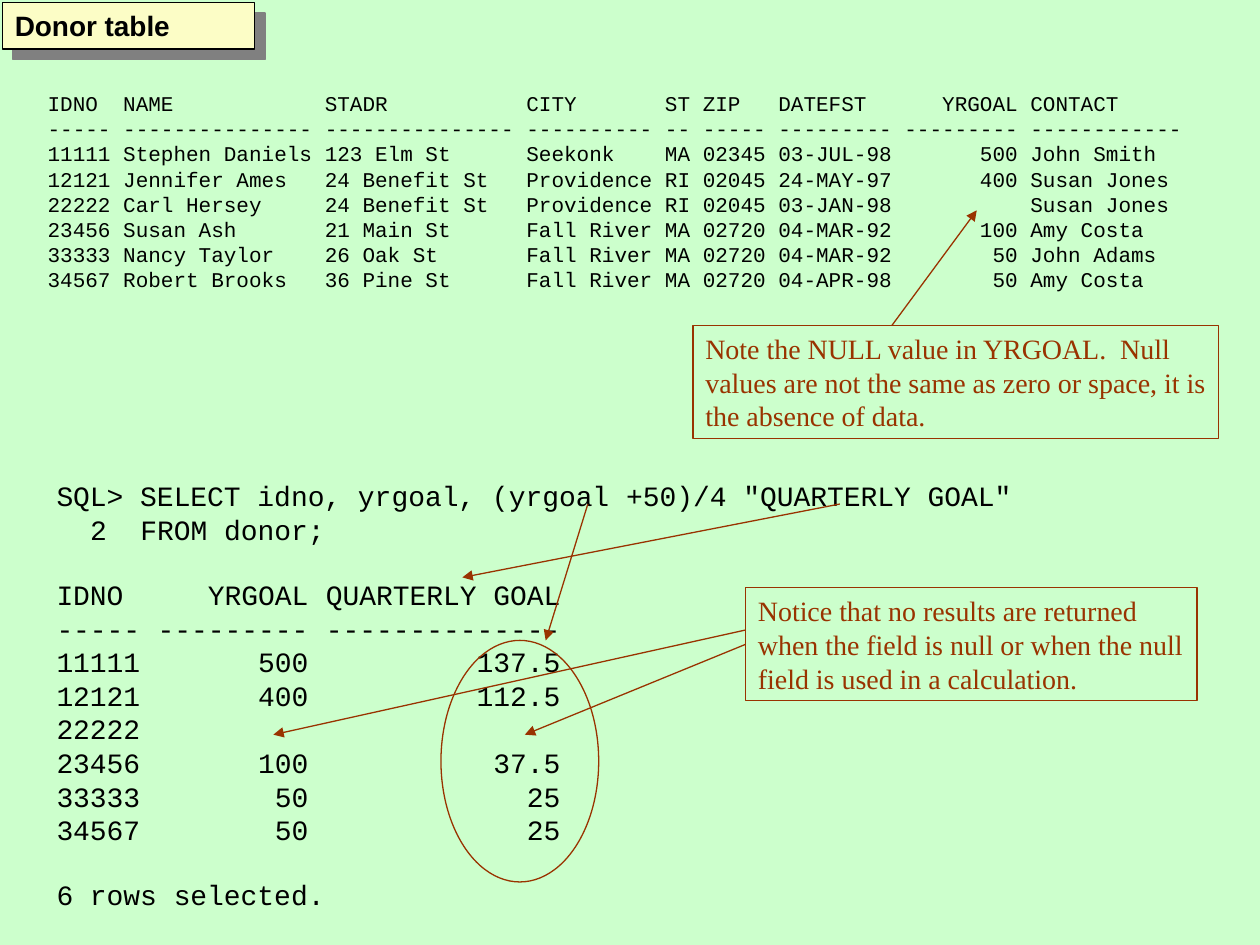
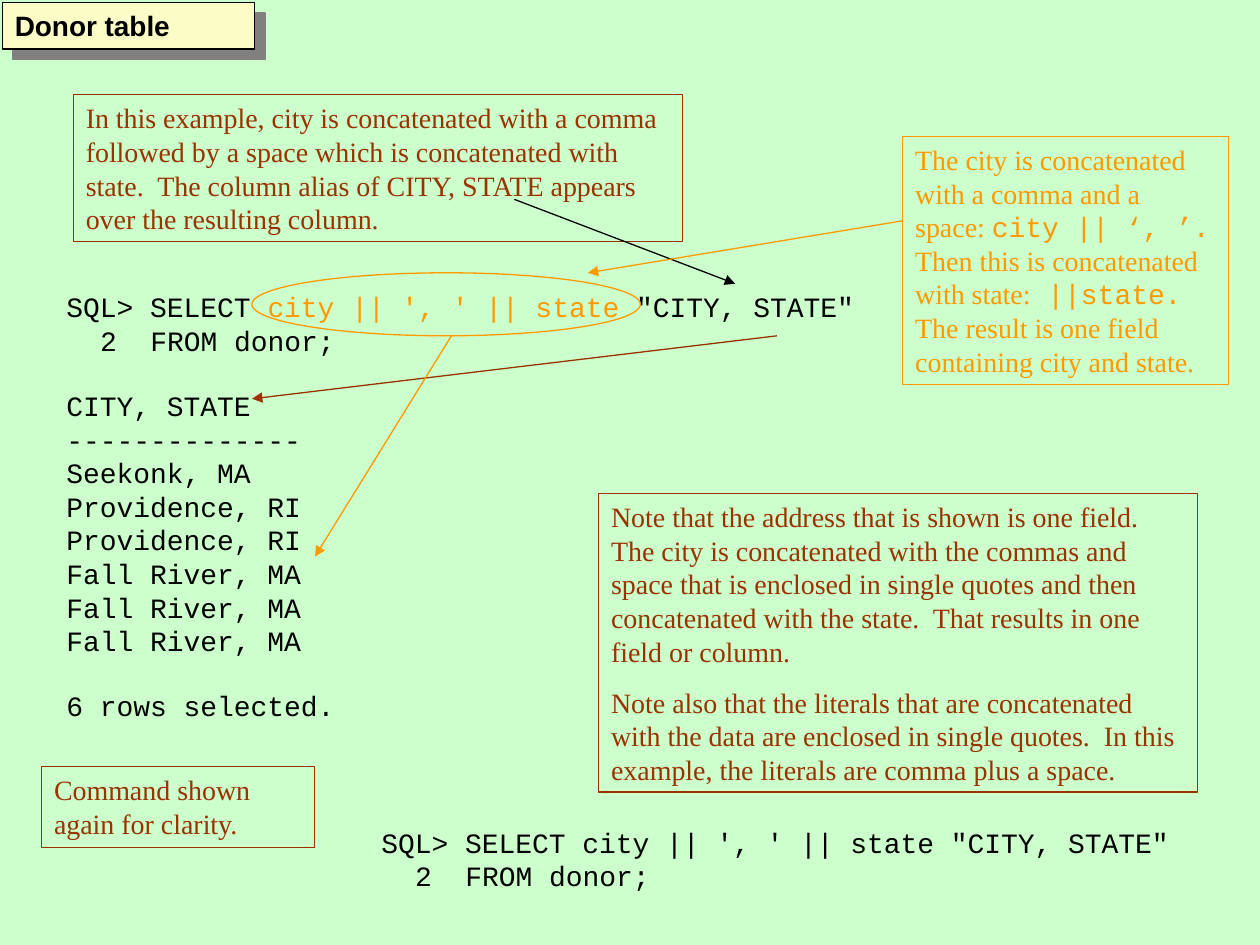
"""Build two slides on querying the donor table with SQL."""
from itertools import accumulate

from lxml import etree
from pptx import Presentation
from pptx.dml.color import RGBColor
from pptx.enum.shapes import MSO_CONNECTOR, MSO_SHAPE
from pptx.enum.text import MSO_ANCHOR, PP_ALIGN
from pptx.oxml.ns import qn
from pptx.util import Cm, Pt

COLORS = {
    "page": "CCFFCC",
    "title": "FCFDC6",
    "shadow": "808080",
    "text": "000000",
    "note": "993300",
    "accent": "FF9900",
}
MONO, SERIF, SANS = "Courier New", "Times New Roman", "Arial"
RECTANGLE, ELLIPSE = MSO_SHAPE.RECTANGLE, MSO_SHAPE.OVAL
STRAIGHT = MSO_CONNECTOR.STRAIGHT
TOP, LEFT = MSO_ANCHOR.TOP, PP_ALIGN.LEFT
LEFT_SIDE = 1
LINE_WIDTH = Pt(0.75)
TEXT_SIZE = 16
LINE_HEIGHT = 1.13
CHAR_WIDTH = 0.6

DONOR_WIDTHS = [5, 15, 15, 10, 2, 5, 9, 9, 12]
DONOR_ROWS = [
    ["IDNO", "NAME", "STADR", "CITY", "ST", "ZIP", "DATEFST", "YRGOAL", "CONTACT"],
    ["11111", "Stephen Daniels", "123 Elm St", "Seekonk", "MA", "02345", "03-JUL-98", "500", "John Smith"],
    ["12121", "Jennifer Ames", "24 Benefit St", "Providence", "RI", "02045", "24-MAY-97", "400", "Susan Jones"],
    ["22222", "Carl Hersey", "24 Benefit St", "Providence", "RI", "02045", "03-JAN-98", "", "Susan Jones"],
    ["23456", "Susan Ash", "21 Main St", "Fall River", "MA", "02720", "04-MAR-92", "100", "Amy Costa"],
    ["33333", "Nancy Taylor", "26 Oak St", "Fall River", "MA", "02720", "04-MAR-92", "50", "John Adams"],
    ["34567", "Robert Brooks", "36 Pine St", "Fall River", "MA", "02720", "04-APR-98", "50", "Amy Costa"],
]
GOAL_WIDTHS = [5, 9, 14]
GOAL_ROWS = [
    ["IDNO", "YRGOAL", "QUARTERLY GOAL"],
    ["11111", "500", "137.5"],
    ["12121", "400", "112.5"],
    ["22222"],
    ["23456", "100", "37.5"],
    ["33333", "50", "25"],
    ["34567", "50", "25"],
]
PLACE_WIDTHS = [14]
PLACE_ROWS = [
    ["CITY, STATE"],
    ["Seekonk, MA"],
    ["Providence, RI"],
    ["Providence, RI"],
    ["Fall River, MA"],
    ["Fall River, MA"],
    ["Fall River, MA"],
]
ROW_COUNT = (["6 rows selected."], [])


def rgb(name):
    """Return the named colour."""
    return RGBColor.from_string(COLORS[name])


def write(paragraph, content, font, color, size=TEXT_SIZE, bold=False):
    """Fill a paragraph with a string or with (text, font, colour) parts."""
    parts = [(content, font, color)] if isinstance(content, str) else content
    for text, part_font, part_color in parts:
        run = paragraph.add_run()
        run.text = text
        run.font.name = part_font
        run.font.size = Pt(size)
        run.font.bold = bold
        run.font.color.rgb = rgb(part_color)
    paragraph.alignment = LEFT


def set_tabs(paragraph, stops, size):
    """Set tab stops given as (character column, alignment)."""
    tabs = etree.SubElement(paragraph._p.get_or_add_pPr(), qn("a:tabLst"))
    for column, align in stops:
        position = Pt(column * size * CHAR_WIDTH)
        etree.SubElement(tabs, qn("a:tab"), pos=str(position), algn=align)


def outline(slide, kind, box, color):
    """Add an unfilled outlined shape."""
    shape = slide.shapes.add_shape(kind, *map(Cm, box))
    shape.shadow.inherit = False
    shape.fill.background()
    shape.line.color.rgb = rgb(color)
    shape.line.width = LINE_WIDTH
    return shape


def note(slide, box, contents, color="note", font=SERIF, bold=False):
    """Add an outlined box with one paragraph for each content."""
    shape = outline(slide, RECTANGLE, box, color)
    frame = shape.text_frame
    frame.word_wrap = True
    frame.vertical_anchor = TOP
    for index, content in enumerate(contents):
        paragraph = frame.add_paragraph() if index else frame.paragraphs[0]
        if index:
            paragraph.space_before = Pt(10)
        write(paragraph, content, font, "text" if bold else color, bold=bold)
    return shape


def title(slide, text):
    """Add the title plate with its solid drop shadow."""
    plate = note(slide, (0.05, 0.05, 5.08, 0.94), [text], "text", SANS, bold=True)
    plate.fill.solid()
    plate.fill.fore_color.rgb = rgb("title")
    effects = plate._element.spPr.find(qn("a:effectLst"))
    shadow = etree.SubElement(effects, qn("a:outerShdw"), dist=str(Pt(8.5)),
                              dir="2700000", algn="ctr", rotWithShape="0")
    etree.SubElement(shadow, qn("a:srgbClr"), val=COLORS["shadow"])


def arrow(slide, start, end, color="note", source=None):
    """Add an arrow, joined to the left side of its source if there is one."""
    line = slide.shapes.add_connector(STRAIGHT, *map(Cm, start + end))
    if source is not None:
        line.begin_connect(source, LEFT_SIDE)
    line.line.color.rgb = rgb(color)
    line.line.width = LINE_WIDTH
    properties = line._element.spPr
    etree.SubElement(properties.find(qn("a:ln")), qn("a:tailEnd"), type="triangle")
    etree.SubElement(properties, qn("a:effectLst"))


def query(select):
    """Return the section with a query of the donor table."""
    return [select, "\t2\tFROM donor;"], [(2, "l"), (5, "l")]


def result(widths, rows, right_columns=()):
    """Return the section with a ruled result and its tab stops."""
    ends = [end + index for index, end in enumerate(accumulate(widths))]
    stops = [
        (end, "r") if column in right_columns else (end - width, "l")
        for column, (end, width) in enumerate(zip(ends, widths))
    ]
    rule = ["-" * width for width in widths]
    lines = ["\t".join(row) for row in [rows[0], rule, *rows[1:]]]
    return lines, stops[1:]


def console(slide, box, sections, size=TEXT_SIZE):
    """Add console text whose sections stand one line apart."""
    frame = slide.shapes.add_textbox(*map(Cm, box)).text_frame
    frame.word_wrap = True
    frame.margin_right = 0
    paragraph = frame.paragraphs[0]
    for section, (lines, stops) in enumerate(sections):
        for index, line in enumerate(lines):
            if section or index:
                paragraph = frame.add_paragraph()
            if section and not index:
                paragraph.space_before = Pt(size * LINE_HEIGHT)
            write(paragraph, line, MONO, "text", size)
            if stops:
                set_tabs(paragraph, stops, size)


def null_slide(slide):
    """Show how null values behave in a calculation."""
    title(slide, "Donor table")
    console(slide, (0.71, 1.7, 23.37, 4.32),
            [result(DONOR_WIDTHS, DONOR_ROWS, right_columns=(7,))], size=12)
    note(slide, (13.97, 6.56, 10.6, 2.28), [
        "Note the NULL value in YRGOAL.  Null values are not the same as zero "
        "or space, it is the absence of data."])
    arrow(slide, (17.98, 6.56), (19.69, 4.24))
    console(slide, (0.89, 9.53, 19.76, 9.07), [
        query('SQL> SELECT idno, yrgoal, (yrgoal +50)/4 "QUARTERLY GOAL"'),
        result(GOAL_WIDTHS, GOAL_ROWS, right_columns=(1, 2)),
        ROW_COUNT])
    no_results = note(slide, (15.03, 11.85, 9.1, 2.28), [
        "Notice that no results are returned when the field is null or when "
        "the null field is used in a calculation."])
    arrow(slide, (15.03, 12.99), (10.58, 14.81), source=no_results)
    arrow(slide, (15.03, 12.7), (5.51, 14.81))
    arrow(slide, (11.85, 10.16), (11, 12.91))
    arrow(slide, (16.93, 10.16), (9.32, 11.64))
    outline(slide, ELLIPSE, (8.89, 12.91, 3.18, 4.87), "note")


def concatenation_slide(slide):
    """Show how columns and literals are concatenated."""
    title(slide, "Donor table")
    select = [("SQL> SELECT ", MONO, "text"),
              ("city || ', ' || state", MONO, "accent"),
              (' "CITY, STATE"', MONO, "text")]
    console(slide, (1.09, 5.72, 16.38, 9.07),
            [query(select), result(PLACE_WIDTHS, PLACE_ROWS), ROW_COUNT])
    note(slide, (1.48, 1.91, 12.28, 2.96), [
        "In this example, city is concatenated with a comma followed by a "
        "space which is concatenated with state.  The column alias of CITY, "
        "STATE appears over the resulting column."])
    note(slide, (12.07, 9.95, 12.07, 6.02), [
        "Note that the address that is shown is one field.  The city is "
        "concatenated with the commas and space that is enclosed in single "
        "quotes and then concatenated with the state.  That results in one "
        "field or column.",
        "Note also that the literals that are concatenated with the data are "
        "enclosed in single quotes.  In this example, the literals are comma "
        "plus a space."])
    arrow(slide, (15.66, 6.77), (5.08, 8.04))
    outline(slide, ELLIPSE, (5.08, 5.5, 7.83, 1.27), "accent")
    arrow(slide, (9.1, 6.77), (6.35, 11.22), "accent")
    plain_select = "".join(text for text, _, _ in select)
    console(slide, (7.44, 16.51, 16.38, 1.63), [query(plain_select)])
    arrow(slide, (10.37, 4.02), (14.82, 5.72), "text")
    note(slide, (0.84, 15.45, 5.5, 1.63), ["Command shown again for clarity."])
    note(slide, (18.2, 2.75, 6.56, 5), [[
        ("The city is concatenated with a comma and a space: ", SERIF, "accent"),
        ("city || ‘, ’. ", MONO, "accent"),
        ("Then this is concatenated with state:", SERIF, "accent"),
        (" ||state.", MONO, "accent"),
        ("  The result is one field containing city and state.", SERIF, "accent"),
    ]], "accent")
    arrow(slide, (18.2, 4.45), (11.85, 5.5), "accent")


def main():
    """Build and save the presentation."""
    deck = Presentation()
    deck.slide_width, deck.slide_height = Cm(25.4), Cm(19.05)
    page = deck.slide_master.background.fill
    page.solid()
    page.fore_color.rgb = rgb("page")
    blank = deck.slide_layouts[6]
    for build in (null_slide, concatenation_slide):
        build(deck.slides.add_slide(blank))
    deck.save("out.pptx")


if __name__ == "__main__":
    main()
